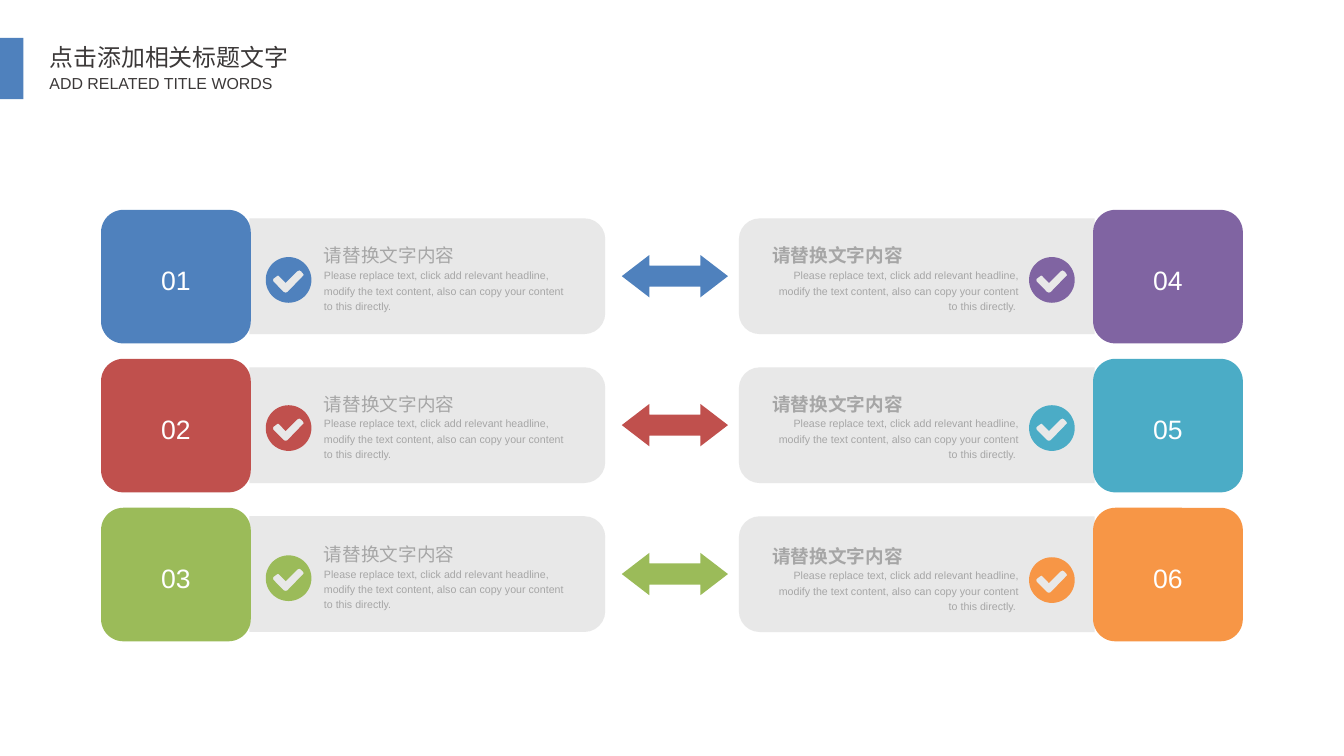
from math import cos, pi, sin

from lxml.etree import SubElement
from pptx import Presentation
from pptx.dml.color import RGBColor
from pptx.enum.shapes import MSO_SHAPE
from pptx.enum.text import MSO_ANCHOR, PP_ALIGN
from pptx.oxml.ns import qn
from pptx.util import Pt

LATIN = "Arial"
CHINESE = "Noto Sans CJK SC"
HEADING = "请替换文字内容"
BODY = ("Please replace text, click add relevant headline, modify the text content, "
        "also can copy your content to this directly.")

ROW_TOP, ROW_STEP = 158.1, 112.2
PANEL_WIDTH, PANEL_HEIGHT = 268, 87.2
BADGE_RADIUS = 17.2
TICK = [(11.5, -3.6), (10.8, -5), (9.4, -6.5), (8, -7.2), (6.5, -6.5), (-2.2, 2.2),
        (-7.2, -2.9), (-8, -3.4), (-8.8, -2.9), (-11.5, -0.9), (-11.7, 0), (-11.5, 1.2),
        (-3.6, 9.2), (-2.2, 9.6), (-0.9, 9.2), (10.8, -2.9)]

LEFT_SIDE = {"tile": 76.1, "panel": 187.9, "turn": 90, "badge": 217.4, "note": 244,
             "align": PP_ALIGN.LEFT, "bold": False, "body": BODY}
RIGHT_SIDE = {"tile": 823.4, "panel": 556.6, "turn": 270, "badge": 792.4, "note": 581.8,
              "align": PP_ALIGN.RIGHT, "bold": True, "body": BODY + " "}
ITEMS = [
    (LEFT_SIDE, 0, "01", "4F81BD", 180.7),
    (LEFT_SIDE, 1, "02", "C0504D", 292.3),
    (LEFT_SIDE, 2, "03", "9BBB59", 405.4),
    (RIGHT_SIDE, 0, "04", "8064A2", 180.7),
    (RIGHT_SIDE, 1, "05", "4BACC6", 292.3),
    (RIGHT_SIDE, 2, "06", "F79646", 406.8),
]


def color(value):
    """Turn a hex string into a colour."""
    return RGBColor.from_string(value)


def apply_format(target, values):
    """Set each named value on the target."""
    for name, value in values.items():
        setattr(target, name, value)


def paint(shape, fill):
    """Give a shape a flat fill without line or shadow."""
    shape.shadow.inherit = False
    shape.fill.solid()
    shape.fill.fore_color.rgb = color(fill)
    shape.line.fill.background()


def add_block(page, kind, left, top, width, height, fill, adjustments=()):
    """Add a flat preset shape."""
    block = page.shapes.add_shape(kind, Pt(left), Pt(top), Pt(width), Pt(height))
    for index, value in enumerate(adjustments):
        block.adjustments[index] = value
    paint(block, fill)
    return block


def write(para, text, size, fill, font=LATIN, bold=False, **layout):
    """Write one formatted span into a paragraph."""
    apply_format(para, layout)
    span = para.add_run()
    span.text = text
    apply_format(span.font, {"size": Pt(size), "name": font, "bold": bold})
    span.font.color.rgb = color(fill)
    SubElement(span._r.get_or_add_rPr(), qn("a:ea"), typeface=CHINESE)


def set_frame(box, wrap=True, side=0, edge=0, anchor=MSO_ANCHOR.TOP):
    """Set wrapping, margins and anchor of a text frame."""
    apply_format(box.text_frame, {
        "word_wrap": wrap, "vertical_anchor": anchor,
        "margin_left": Pt(side), "margin_right": Pt(side),
        "margin_top": Pt(edge), "margin_bottom": Pt(edge)})
    return box.text_frame


def add_title(page, top, width, height, text, size, font):
    """Add one line of the slide title."""
    box = page.shapes.add_textbox(Pt(30.2), Pt(top), Pt(width), Pt(height))
    frame = set_frame(box, wrap=False, side=7.2, edge=3.6)
    write(frame.paragraphs[0], text, size, "3B3838", font)


def add_panel(page, side, top):
    """Add a grey panel rounded on its inner side."""
    shift = (PANEL_WIDTH - PANEL_HEIGHT) / 2
    panel = add_block(page, MSO_SHAPE.ROUND_2_SAME_RECTANGLE, side["panel"] + shift,
                      top - shift, PANEL_HEIGHT, PANEL_WIDTH, "E6E6E6", (0.18, 0))
    panel.rotation = side["turn"]
    fill = panel.fill._xPr.find(qn("a:solidFill"))
    SubElement(fill[0], qn("a:alpha"), val="90000")


def add_badge(page, x, y, fill):
    """Add a disc with a tick cut out of it."""
    angles = [2 * pi * step / 60 for step in range(60)]
    disc = [(BADGE_RADIUS * cos(angle), BADGE_RADIUS * sin(angle)) for angle in angles]
    rim, tick = ([(Pt(x + dx), Pt(y + dy)) for dx, dy in outline]
                 for outline in (disc, TICK))
    builder = page.shapes.build_freeform(*rim[0])
    builder.add_line_segments(rim[1:], close=True)
    builder.move_to(*tick[0])
    builder.add_line_segments(tick[1:], close=True)
    paint(builder.convert_to_shape(), fill)


def add_note(page, side, top):
    """Add a heading with its body text."""
    box = page.shapes.add_textbox(Pt(side["note"]), Pt(top), Pt(185.8), Pt(51.1))
    frame = set_frame(box)
    write(frame.paragraphs[0], HEADING, 14, "A6A6A6", bold=side["bold"], line_spacing=1.2)
    write(frame.add_paragraph(), side["body"], 8, "A6A6A6",
          line_spacing=1.2, alignment=side["align"])


def add_tile(page, left, top, number, fill):
    """Add a numbered rounded tile."""
    tile = add_block(page, MSO_SHAPE.ROUNDED_RECTANGLE, left, top, 112.8, 100.6,
                     fill, (0.167,))
    frame = set_frame(tile, anchor=MSO_ANCHOR.MIDDLE)
    write(frame.paragraphs[0], number, 20, "FFFFFF",
          line_spacing=1.2, alignment=PP_ALIGN.CENTER)


def main():
    """Build the slide and save it."""
    deck = Presentation()
    apply_format(deck, {"slide_width": Pt(1012.4), "slide_height": Pt(569.5)})
    page = deck.slides.add_slide(deck.slide_layouts[6])
    add_block(page, MSO_SHAPE.RECTANGLE, 0, 28.6, 17.7, 46.1, "4F81BD")
    add_title(page, 28.8, 195.1, 29.5, "点击添加相关标题文字", 18, CHINESE)
    add_title(page, 51.8, 183.6, 22.3, "ADD RELATED TITLE WORDS", 12, LATIN)
    for side, row, number, fill, note_top in ITEMS:
        top = ROW_TOP + row * ROW_STEP
        add_panel(page, side, top + 6.4)
        add_badge(page, side["badge"], note_top + 30.2, fill)
        add_note(page, side, note_top)
        add_tile(page, side["tile"], top, number, fill)
        if side is LEFT_SIDE:
            add_block(page, MSO_SHAPE.LEFT_RIGHT_ARROW, 468.4, top + 34, 80, 31.9,
                      fill, (0.5, 0.651))
    deck.save("out.pptx")


if __name__ == "__main__":
    main()
